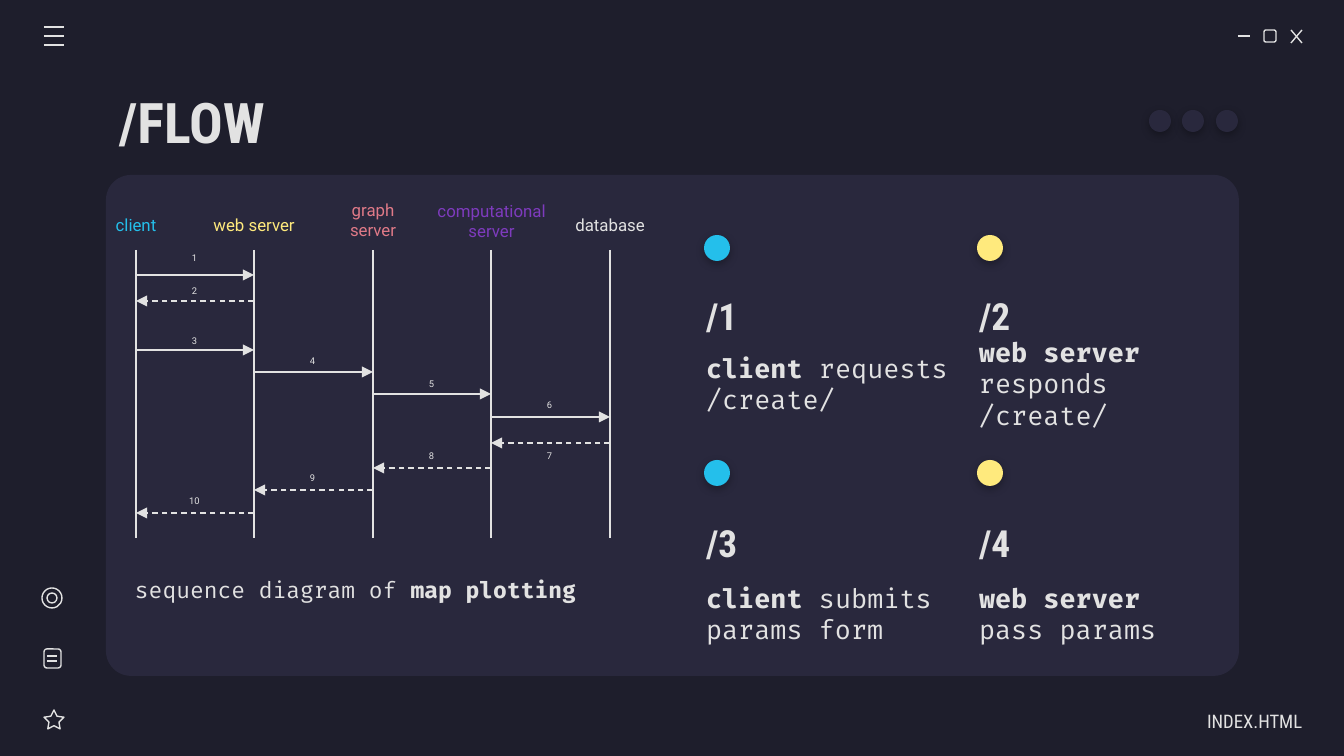
from lxml.etree import SubElement
from pptx import Presentation
from pptx.dml.color import RGBColor
from pptx.enum.dml import MSO_LINE
from pptx.enum.shapes import MSO_CONNECTOR, MSO_SHAPE
from pptx.enum.text import MSO_ANCHOR, PP_ALIGN
from pptx.oxml.ns import qn
from pptx.util import Emu, Pt

EMU_PER_PX = 914400 / 134.4

NIGHT = RGBColor(0x1E, 0x1E, 0x2C)
PANEL = RGBColor(0x29, 0x28, 0x3D)
PALE = RGBColor(0xE2, 0xE2, 0xE2)
BLUE = RGBColor(0x24, 0xBF, 0xEB)
YELLOW = RGBColor(0xFF, 0xEA, 0x7D)
PINK = RGBColor(0xE0, 0x7A, 0x88)
PURPLE = RGBColor(0x7E, 0x3B, 0xBE)

CODE, PLAIN, NARROW = "Fira Code", "Roboto", "Roboto Condensed"

LIFELINES = [136 + 237 * i // 2 for i in range(5)]

# name, colour, centre y, width, height
ACTORS = [
    ("client", BLUE, 225, 94, 34),
    ("web server", YELLOW, 225, 128, 34),
    ("graph server", PINK, 220, 90, 42),
    ("computational server", PURPLE, 221, 141, 34),
    ("database", PALE, 225, 108, 34),
]

# sender, receiver, arrow y, label top
MESSAGES = [
    (0, 1, 275, 241), (1, 0, 301, 274), (0, 1, 350, 324), (1, 2, 372, 344),
    (2, 3, 394, 367), (3, 4, 417, 388), (4, 3, 443, 439), (3, 2, 468, 439),
    (2, 1, 490, 461), (1, 0, 513, 484),
]

# actor, action, colour, body width
STEPS = [
    ("client ", "requests /create/", BLUE, 273),
    ("web server ", "responds /create/", YELLOW, 296),
    ("client ", "submits params form", BLUE, 261),
    ("web server ", "pass params", YELLOW, 261),
]
STEP_COLUMNS = [693, 966]
STEP_ROWS = [(235, 290, 341), (460, 517, 571)]  # dot, number, body tops


def px(*lengths):
    return [Emu(round(length * EMU_PER_PX)) for length in lengths]


def add_outline(page, kind, *bounds):
    shape = page.shapes.add_shape(kind, *px(*bounds))
    shape.shadow.inherit = False
    shape.fill.background()
    shape.line.color.rgb = PALE
    shape.line.width = Pt(0.75)
    return shape


def add_solid(page, kind, colour, *bounds):
    shape = page.shapes.add_shape(kind, *px(*bounds))
    shape.shadow.inherit = False
    shape.fill.solid()
    shape.fill.fore_color.rgb = colour
    shape.line.fill.background()
    return shape


def add_dot(page, colour, left, top, size):
    dot = add_solid(page, MSO_SHAPE.OVAL, colour, left, top, size, size)
    effects = dot.element.spPr.find(qn("a:effectLst"))
    shadow = SubElement(effects, qn("a:outerShdw"), blurRad=str(Pt(4.5)),
                        dist=str(Pt(1.5)), dir="5400000", algn="bl",
                        rotWithShape="0")
    black = SubElement(shadow, qn("a:srgbClr"), val="000000")
    SubElement(black, qn("a:alpha"), val="30000")


def add_line(page, *ends, dashed=False, arrow=False):
    line = page.shapes.add_connector(MSO_CONNECTOR.STRAIGHT, *px(*ends))
    line.line.color.rgb = PALE
    line.line.width = Pt(0.75)
    if dashed:
        line.line.dash_style = MSO_LINE.DASH
    if arrow:
        SubElement(line.line._get_or_add_ln(), qn("a:tailEnd"), type="triangle")
    SubElement(line.element.spPr, qn("a:effectLst"))


def add_text(page, bounds, spans, font, size, colour=PALE,
             align=PP_ALIGN.LEFT):
    """Spans are (text, bold) pairs."""
    box = page.shapes.add_textbox(*px(*bounds))
    frame = box.text_frame
    frame.word_wrap = True
    frame.vertical_anchor = MSO_ANCHOR.MIDDLE
    frame.margin_left, frame.margin_right = px(13, 13)
    frame.margin_top, frame.margin_bottom = px(13, 13)
    para = frame.paragraphs[0]
    para.alignment = align
    for text, bold in spans:
        span = para.add_run()
        span.text = text
        span.font.name = font
        span.font.size = Pt(size)
        span.font.bold = bold
        span.font.color.rgb = colour
    return frame


def add_window(page):
    panel = add_solid(page, MSO_SHAPE.ROUNDED_RECTANGLE, PANEL,
                      106, 175, 1133, 501)
    panel.adjustments[0] = 0.05
    # Window buttons
    add_line(page, 1238, 36, 1250, 36)
    add_outline(page, MSO_SHAPE.ROUNDED_RECTANGLE, 1264, 30, 12, 12)
    add_line(page, 1291, 30, 1302, 43)
    add_line(page, 1302, 30, 1291, 43)
    # Menu
    for y in (27, 36, 45):
        add_line(page, 44, y, 64, y)
    # Side icons: ring, document, star
    add_outline(page, MSO_SHAPE.OVAL, 42, 588, 20, 20)
    add_outline(page, MSO_SHAPE.OVAL, 47, 593, 10, 10)
    add_outline(page, MSO_SHAPE.ROUNDED_RECTANGLE, 44, 649, 17, 19)
    for y in (656, 661):
        add_line(page, 47, y, 57, y)
    star = add_outline(page, MSO_SHAPE.STAR_5_POINT, 44, 710, 20, 19)
    star.adjustments[0] = 0.25
    # Dots beside the title
    for i in range(3):
        add_dot(page, PANEL, 1149 + 67 * i // 2, 110, 22)


def add_diagram(page):
    for x, (name, colour, middle, width, height) in zip(LIFELINES, ACTORS):
        bounds = (x - width // 2, middle - height // 2, width, height)
        add_text(page, bounds, [(name, False)], PLAIN, 9, colour,
                 PP_ALIGN.CENTER)
        add_line(page, x, 250, x, 538)
    for number, (sender, receiver, y, top) in enumerate(MESSAGES, 1):
        start, end = LIFELINES[sender], LIFELINES[receiver]
        add_line(page, start, y, end, y, dashed=receiver < sender, arrow=True)
        add_text(page, ((start + end) // 2 - 20, top, 39, 34),
                 [(str(number), False)], PLAIN, 5, align=PP_ALIGN.CENTER)
    add_text(page, (122, 525, 556, 130),
             [("sequence diagram of", False), (" map plotting", True)],
             CODE, 12)


def add_steps(page):
    for i, (actor, action, colour, width) in enumerate(STEPS):
        left = STEP_COLUMNS[i % 2]
        dot_top, number_top, body_top = STEP_ROWS[i // 2]
        add_dot(page, colour, left + 11, dot_top, 26)
        add_text(page, (left, number_top, 261, 51), [(f"/{i + 1}", True)],
                 NARROW, 20)
        add_text(page, (left, body_top, width, 85),
                 [(actor, True), (action, False)], CODE, 14)


def main():
    deck = Presentation()
    deck.slide_width, deck.slide_height = px(1344, 756)
    page = deck.slides.add_slide(deck.slide_layouts[6])
    page.background.fill.solid()
    page.background.fill.fore_color.rgb = NIGHT

    add_window(page)
    add_text(page, (106, 79, 1059, 85), [("/FLOW", True)], NARROW, 30)
    footer = add_text(page, (1145, 699, 157, 40), [("INDEX.HTML", False)],
                      NARROW, 10, align=PP_ALIGN.RIGHT)
    footer.margin_right = 0
    footer.paragraphs[0].line_spacing = 1.15
    add_diagram(page)
    add_steps(page)
    deck.save("out.pptx")


if __name__ == "__main__":
    main()
